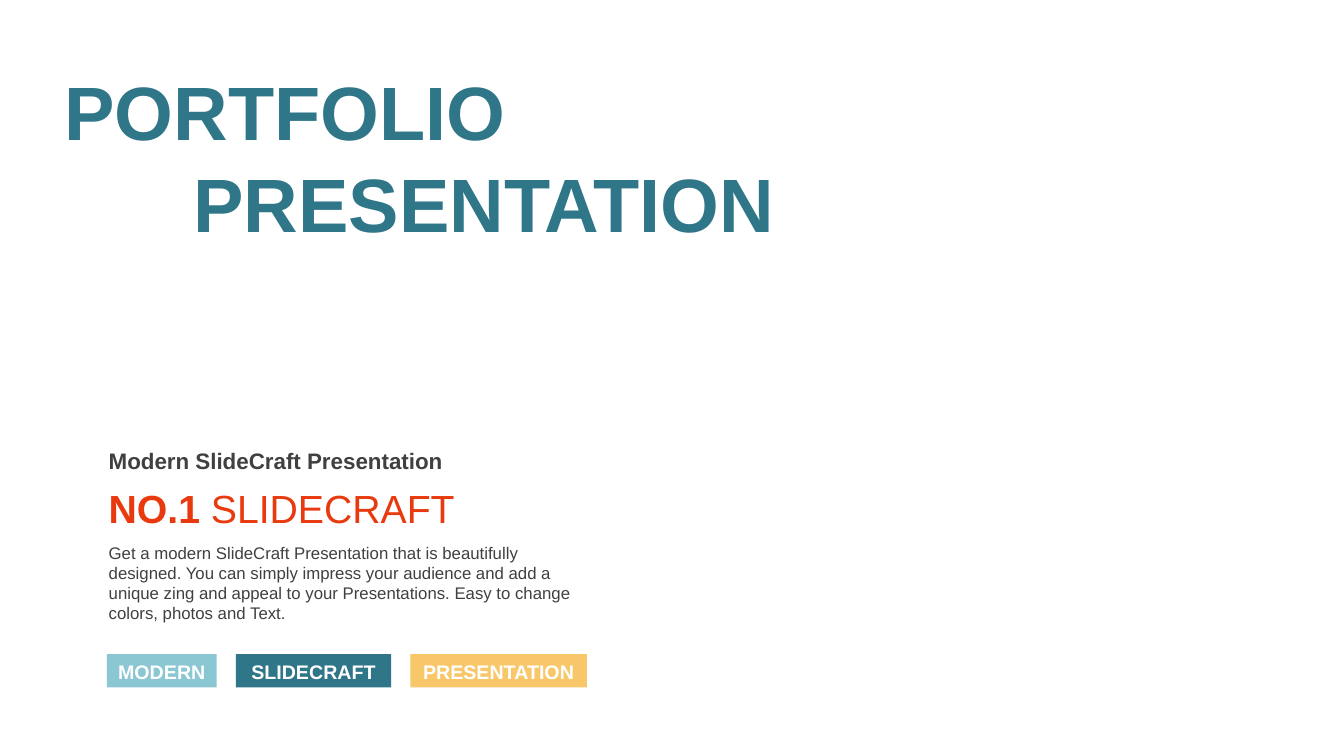
import pptx
import pptx.dml.color
import pptx.enum.shapes
import pptx.enum.text
import pptx.util

PX = 9144
TEAL = "307689"
SKY = "8AC7D3"
AMBER = "F7C76A"
RED = "E93A0F"
GRAY = "404040"
WHITE = "FFFFFF"
MIDDLE = pptx.enum.text.MSO_ANCHOR.MIDDLE
LEFT = pptx.enum.text.PP_ALIGN.LEFT
CENTER = pptx.enum.text.PP_ALIGN.CENTER


def px(length):
    return pptx.util.Emu(length * PX)


def color(code):
    return pptx.dml.color.RGBColor.from_string(code)


def style_span(span, size, code, bold):
    span.font.name = "Arial"
    span.font.size = pptx.util.Pt(size)
    span.font.bold = bold
    span.font.color.rgb = color(code)


def set_insets(frame, left, top, right, bottom):
    frame.margin_left = px(left)
    frame.margin_top = px(top)
    frame.margin_right = px(right)
    frame.margin_bottom = px(bottom)


def fill_heading(box, text, left, top, width):
    box.left, box.top = px(left), px(top)
    box.width, box.height = px(width), px(79)
    frame = box.text_frame
    frame.text = text
    frame.auto_size = pptx.enum.text.MSO_AUTO_SIZE.NONE
    frame.vertical_anchor = MIDDLE
    set_insets(frame, 0, 5, 10, 5)
    para = frame.paragraphs[0]
    para.alignment = LEFT
    para.space_before = pptx.util.Pt(0)
    style_span(para.runs[0], 54, TEAL, True)


def add_text(page, top, height, size, code, spans):
    box = page.shapes.add_textbox(px(98), px(top), px(484), px(height))
    frame = box.text_frame
    frame.word_wrap = True
    frame.auto_size = pptx.enum.text.MSO_AUTO_SIZE.SHAPE_TO_FIT_TEXT
    for text, bold in spans:
        span = frame.paragraphs[0].add_run()
        span.text = text
        style_span(span, size, code, bold)


def add_tag(page, text, left, width, code):
    box = page.shapes.add_shape(
        pptx.enum.shapes.MSO_SHAPE.RECTANGLE, px(left), px(649), px(width), px(33)
    )
    box.shadow.inherit = False
    box.fill.solid()
    box.fill.fore_color.rgb = color(code)
    box.line.fill.background()
    frame = box.text_frame
    frame.text = text
    frame.vertical_anchor = MIDDLE
    set_insets(frame, 10, 10, 10, 5)
    para = frame.paragraphs[0]
    para.alignment = CENTER
    para.line_spacing = 0.9
    style_span(para.runs[0], 14, WHITE, True)


def add_tags(page, tags):
    left = 106
    for text, width, code in tags:
        add_tag(page, text, left, width, code)
        left += width + 19


def main():
    deck = pptx.Presentation()
    deck.slide_width, deck.slide_height = px(1333), px(750)
    page = deck.slides.add_slide(deck.slide_layouts[0])
    title, subtitle = page.placeholders
    fill_heading(title, "PORTFOLIO", 64, 70, 481)
    fill_heading(subtitle, "PRESENTATION", 192, 161, 612)
    add_text(page, 439, 37, 16, GRAY, [("Modern SlideCraft Presentation", True)])
    add_text(page, 476, 57, 28, RED, [("NO.1 ", True), ("SLIDECRAFT", False)])
    pitch = (
        "Get a modern SlideCraft Presentation that is beautifully designed. "
        "You can simply impress your audience and add a unique zing and appeal "
        "to your Presentations. Easy to change colors, photos and Text."
    )
    add_text(page, 533, 91, 12, GRAY, [(pitch, False)])
    add_tags(page, [
        ("MODERN", 109, SKY),
        ("SLIDECRAFT", 154, TEAL),
        ("PRESENTATION", 175, AMBER),
    ])
    deck.save("out.pptx")


if __name__ == "__main__":
    main()
